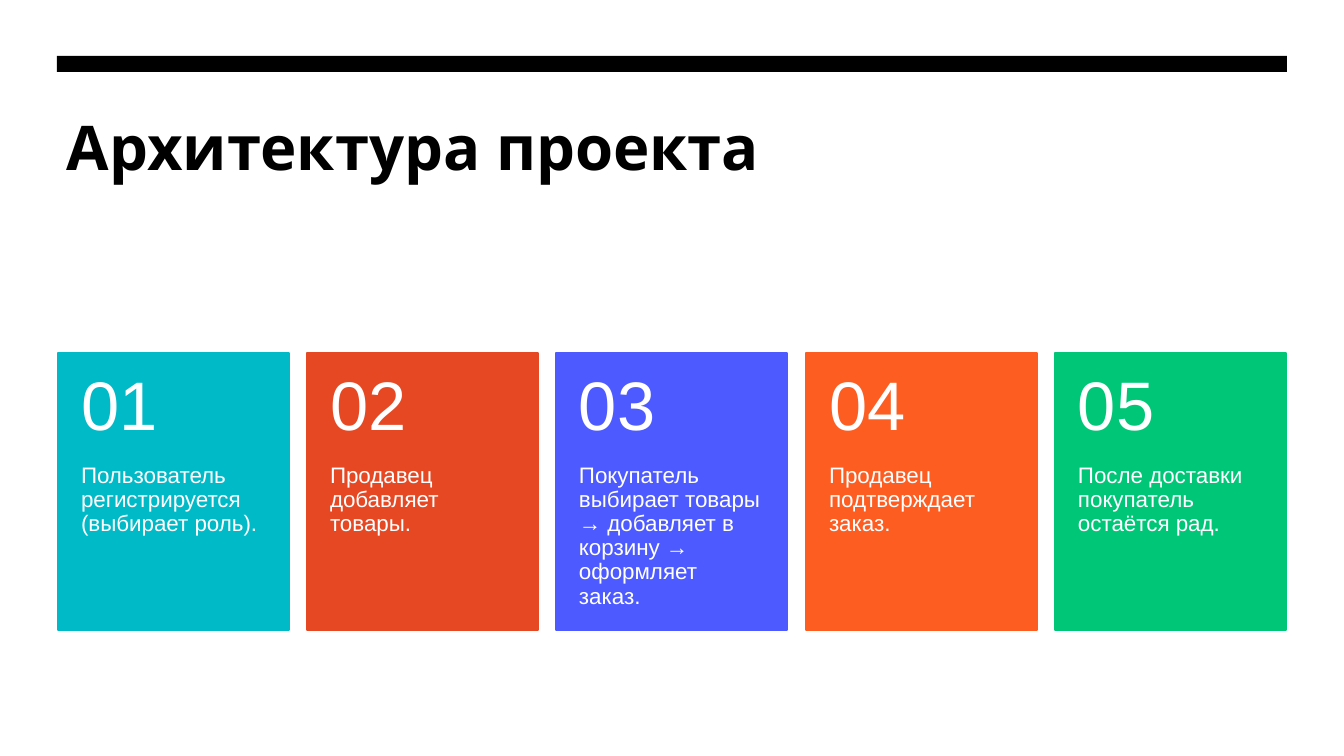
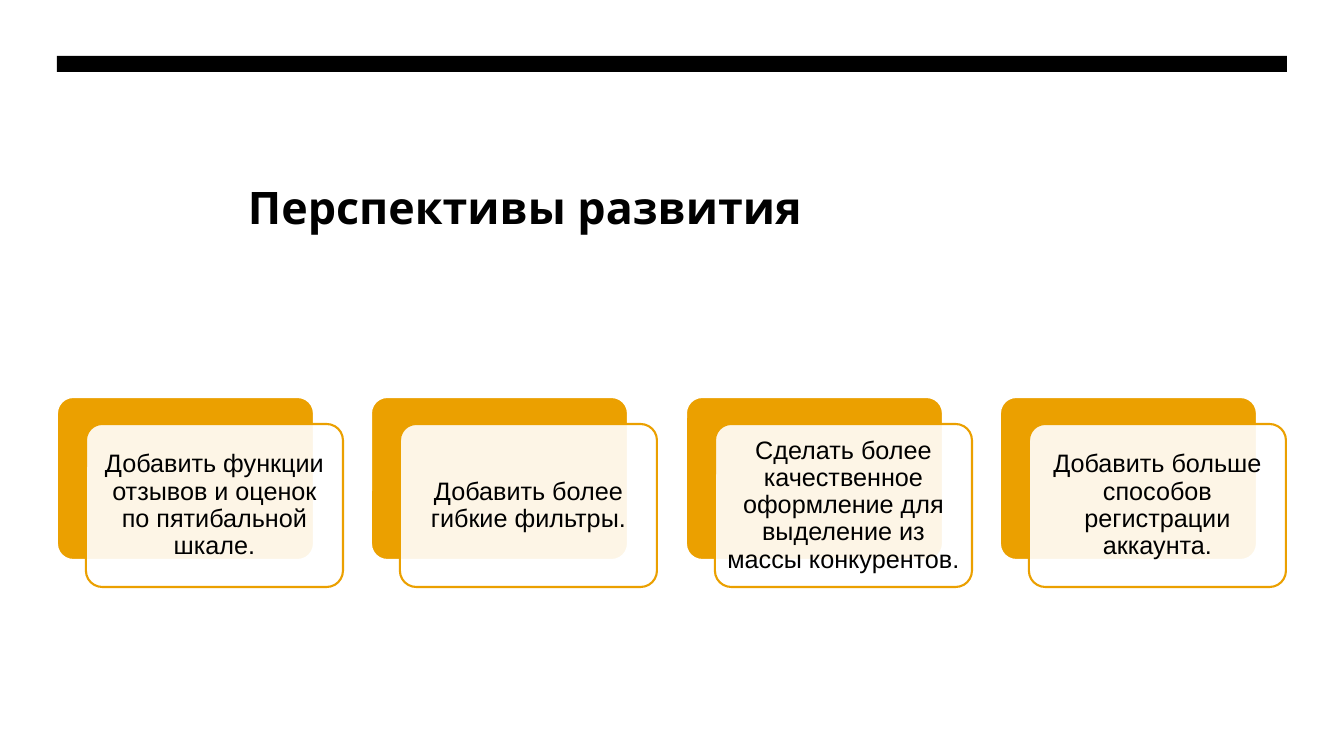
"""Build two slides: numbered project steps and layered cards of plans."""
from lxml import etree
from pptx import Presentation
from pptx.dml.color import RGBColor
from pptx.enum.shapes import MSO_SHAPE
from pptx.enum.text import MSO_ANCHOR, PP_ALIGN
from pptx.oxml.ns import qn
from pptx.util import Emu, Pt

RECT, ROUND = MSO_SHAPE.RECTANGLE, MSO_SHAPE.ROUNDED_RECTANGLE
TOP, MID = MSO_ANCHOR.TOP, MSO_ANCHOR.MIDDLE
LEFT, CENTER = PP_ALIGN.LEFT, PP_ALIGN.CENTER
SCALE = 914400 / 100.8
WIDE, HIGH = 1344, 756
EDGE = 1286
COLORS = {
    "black": "000000", "white": "FFFFFF", "gold": "EBA000", "teal": "00BAC8",
    "red": "E64823", "blue": "4D5AFF", "orange": "FE5D21", "green": "00C777",
}
STEPS = [
    ("teal", "Пользователь регистрируется (выбирает роль)."),
    ("red", "Продавец добавляет товары."),
    ("blue", "Покупатель выбирает товары → добавляет в корзину → оформляет заказ."),
    ("orange", "Продавец подтверждает заказ."),
    ("green", "После доставки покупатель остаётся рад."),
]
PLANS = [
    "Добавить функции отзывов и оценок по пятибальной шкале.",
    "Добавить более гибкие фильтры.",
    "Сделать более качественное оформление для выделение из массы конкурентов.",
    "Добавить больше способов регистрации аккаунта.",
]


def px(size):
    return Emu(round(size * SCALE))


def color(name):
    return RGBColor.from_string(COLORS[name])


def spread(left, width, count):
    step = (EDGE - left - width) / (count - 1)
    return [round(left + i * step) for i in range(count)]


def write(shape, text, size, ink, font="Arial", bold=False, align=LEFT,
          anchor=TOP, pads=(0, 0, 0, 0)):
    frame = shape.text_frame
    frame.word_wrap = True
    frame.vertical_anchor = anchor
    frame.margin_left, frame.margin_top, frame.margin_right, frame.margin_bottom = map(px, pads)
    para = frame.paragraphs[0]
    para.alignment = align
    para.line_spacing = 0.9
    run = para.add_run()
    run.text = text
    run.font.name = font
    run.font.size = Pt(size)
    run.font.bold = bold
    run.font.color.rgb = color(ink)


def label(slide, box, *args, **style):
    write(slide.shapes.add_textbox(*map(px, box)), *args, **style)


def block(slide, kind, box, fill, line=None, alpha=None):
    shape = slide.shapes.add_shape(kind, *map(px, box))
    shape.shadow.inherit = False
    shape.fill.solid()
    shape.fill.fore_color.rgb = color(fill)
    if kind == ROUND:
        shape.adjustments[0] = 0.1
    if line:
        shape.line.color.rgb = color(line)
        shape.line.width = Pt(1.5)
    else:
        shape.line.fill.background()
    if alpha:
        tone = shape._element.spPr.find(qn("a:solidFill"))[0]
        etree.SubElement(tone, qn("a:alpha")).set("val", str(alpha * 1000))
    return shape


def start(deck, title, left, top, size):
    slide = deck.slides.add_slide(deck.slide_layouts[6])
    block(slide, RECT, (57, 56, 1230, 16), "black")
    label(slide, (left, top, 1000, 90), title, size, "black", font="Karla", bold=True)
    return slide


def step_card(slide, left, num, fill, text):
    top, width, head, body = 353, 231, 111, 166
    block(slide, RECT, (left, top, width, head + body), fill, fill)
    label(slide, (left, top + head, width, body), text, 16, "white",
          pads=(23, 0, 23, 36))
    label(slide, (left, top, width, head), f"{num:02}", 49, "white",
          anchor=MID, pads=(23, 18, 23, 18))


def plan_card(slide, left, text):
    top, width, height = 397, 257, 163
    block(slide, ROUND, (left, top, width, height), "gold", "white")
    front = block(slide, ROUND, (left + 29, top + 27, width, height),
                  "white", "gold", alpha=90)
    write(front, text, 18, "black", align=CENTER, anchor=MID, pads=(7, 7, 7, 7))


def main():
    deck = Presentation()
    deck.slide_width, deck.slide_height = px(WIDE), px(HIGH)

    slide = start(deck, "Архитектура проекта", 67, 117, 44)
    lefts = spread(58, 231, len(STEPS))
    for num, (left, (fill, text)) in enumerate(zip(lefts, STEPS), 1):
        step_card(slide, left, num, fill, text)

    slide = start(deck, "Перспективы развития", 248, 186, 32)
    for left, text in zip(spread(57, 286, len(PLANS)), PLANS):
        plan_card(slide, left, text)

    deck.save("out.pptx")


if __name__ == "__main__":
    main()
